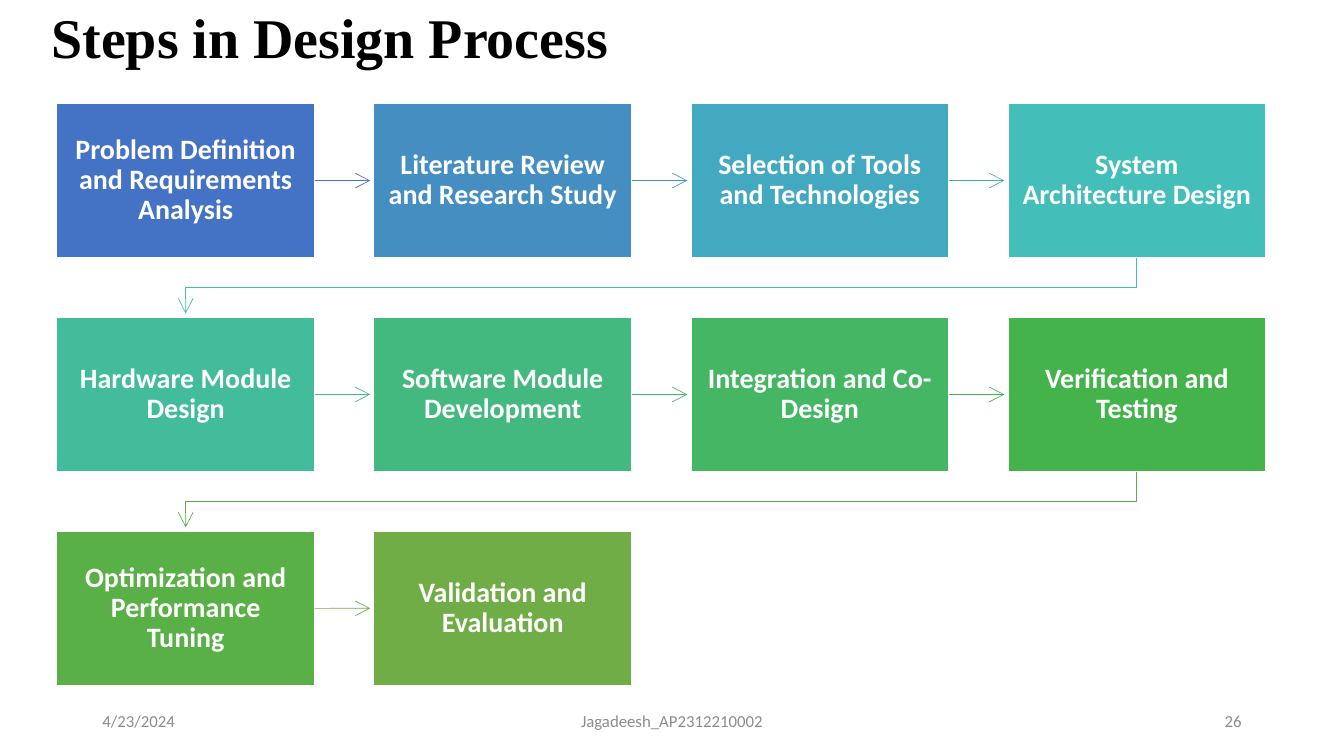
"""Build the design process slide: ten steps in a snaking grid."""
import pptx
import pptx.dml.color
import pptx.enum.shapes
import pptx.enum.text
import pptx.oxml
import pptx.oxml.ns
import pptx.util
from pptx.util import Cm

COLORS = {"title": "000000", "footer": "8C8C8C", "white": "FFFFFF"}
STEPS = [
    ("Problem Definition and Requirements Analysis", "4472C4", "4472C4"),
    ("Literature Review and Research Study", "448EC2", "4491C2"),
    ("Selection of Tools and Technologies", "43A9C0", "43AFC0"),
    ("System Architecture Design", "43BEB9", "43BDAE"),
    ("Hardware Module Design", "43BC9C", "43BB8D"),
    ("Software Module Development", "44B97F", "44B76E"),
    ("Integration and Co-Design", "45B664", "45B451"),
    ("Verification and Testing", "45B34B", "56B046"),
    ("Optimization and Performance Tuning", "59B046", "70AD47"),
    ("Validation and Evaluation", "70AD47", None),
]
COLUMNS = 4
LEFT, TOP = 1.43, 2.6
BOX_WIDTH, BOX_HEIGHT = 6.5, 3.9
COLUMN_PITCH, ROW_PITCH = 7.99, 5.39
ARROW_GAP = 0.09
ALIGN = pptx.enum.text.PP_ALIGN


def write_text(shape, text, size, color, align, font="Calibri", bold=False):
    frame = shape.text_frame
    frame.text = text
    frame.word_wrap = True
    frame.auto_size = pptx.enum.text.MSO_AUTO_SIZE.NONE
    frame.vertical_anchor = pptx.enum.text.MSO_ANCHOR.MIDDLE
    paragraph = frame.paragraphs[0]
    paragraph.alignment = align
    paragraph.line_spacing = 0.9 if bold else 1.0
    run_font = paragraph.runs[0].font
    run_font.name = font
    run_font.size = pptx.util.Pt(size)
    run_font.bold = bold
    run_font.color.rgb = pptx.dml.color.RGBColor.from_string(color)


def style_arrow(arrow, color):
    arrow.line.color.rgb = pptx.dml.color.RGBColor.from_string(color)
    arrow.line.width = pptx.util.Pt(0.5)
    line = arrow.line._get_or_add_ln()
    tail = pptx.oxml.parse_xml(
        f'<a:tailEnd {pptx.oxml.ns.nsdecls("a")} type="arrow" w="lg" len="lg"/>')
    line.append(tail)
    effects = pptx.oxml.parse_xml(f'<a:effectLst {pptx.oxml.ns.nsdecls("a")}/>')
    line.addnext(effects)


presentation = pptx.Presentation()
presentation.slide_width = Cm(33.87)
presentation.slide_height = Cm(19.05)
slide = presentation.slides.add_slide(presentation.slide_layouts[5])

title = slide.shapes.title
title.left, title.top, title.width, title.height = Cm(0.91), Cm(0.38), Cm(14.8), Cm(1.25)
write_text(title, "Steps in Design Process", 40, COLORS["title"], ALIGN.CENTER,
           font="Times New Roman", bold=True)

for text, left, width, align in [
    ("4/23/2024", 2.33, 7.62, ALIGN.LEFT),
    ("Jagadeesh_AP2312210002", 11.22, 11.43, ALIGN.CENTER),
    ("26", 23.92, 7.62, ALIGN.RIGHT),
]:
    footer = slide.shapes.add_textbox(Cm(left), Cm(17.66), Cm(width), Cm(1.01))
    write_text(footer, text, 12, COLORS["footer"], align)

for index, (text, fill, arrow_color) in enumerate(STEPS):
    row, column = divmod(index, COLUMNS)
    left = LEFT + column * COLUMN_PITCH
    top = TOP + row * ROW_PITCH
    box = slide.shapes.add_shape(pptx.enum.shapes.MSO_SHAPE.RECTANGLE,
                                 Cm(left), Cm(top), Cm(BOX_WIDTH), Cm(BOX_HEIGHT))
    box.shadow.inherit = False
    box.fill.solid()
    box.fill.fore_color.rgb = pptx.dml.color.RGBColor.from_string(fill)
    box.line.color.rgb = pptx.dml.color.RGBColor.from_string(COLORS["white"])
    box.line.width = pptx.util.Pt(1)
    frame = box.text_frame
    frame.margin_left = frame.margin_right = Cm(0.36)
    frame.margin_top = frame.margin_bottom = Cm(0.36)
    write_text(box, text, 20, COLORS["white"], ALIGN.CENTER, bold=True)

    if arrow_color is None:
        continue
    if column < COLUMNS - 1:
        middle = Cm(top + BOX_HEIGHT / 2)
        arrow = slide.shapes.add_connector(
            pptx.enum.shapes.MSO_CONNECTOR.STRAIGHT, Cm(left + BOX_WIDTH), middle,
            Cm(left + COLUMN_PITCH - ARROW_GAP), middle)
        arrow.begin_connect(box, 3)
    else:
        start_x, end_x = Cm(left + BOX_WIDTH / 2), Cm(LEFT + BOX_WIDTH / 2)
        bottom = top + BOX_HEIGHT
        turn_y = Cm((bottom + top + ROW_PITCH) / 2)
        builder = slide.shapes.build_freeform(start_x, Cm(bottom))
        builder.add_line_segments(
            [(start_x, turn_y), (end_x, turn_y), (end_x, Cm(top + ROW_PITCH - ARROW_GAP))],
            close=False)
        arrow = builder.convert_to_shape()
        arrow.fill.background()
    style_arrow(arrow, arrow_color)

presentation.save("out.pptx")
